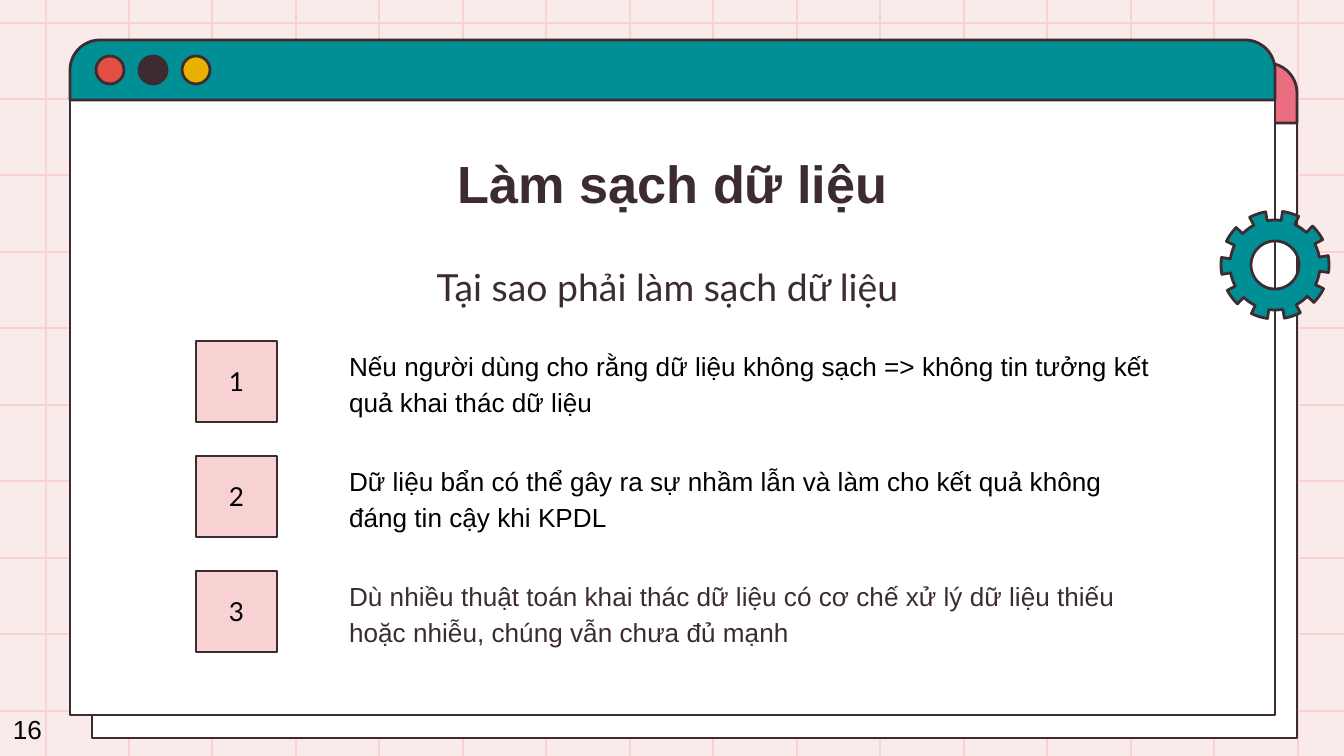
from math import cos, radians, sin

from lxml.etree import SubElement
from pptx import Presentation
from pptx.dml.color import RGBColor
from pptx.enum.shapes import MSO_CONNECTOR, MSO_SHAPE
from pptx.enum.text import MSO_ANCHOR, MSO_AUTO_SIZE, PP_ALIGN
from pptx.oxml.ns import qn
from pptx.util import Pt

WIDTH, HEIGHT = 1344, 756
EMU_PER_PX = 9144000 / WIDTH
COLORS = {
    "paper": "FAEBEB", "pink": "F8D2D2", "ink": "3C2C31", "black": "000000",
    "white": "FFFFFF", "teal": "008F95", "rose": "EB6E80", "red": "E24E42",
    "yellow": "E9B000",
}
REASONS = [
    ("Nếu người dùng cho rằng dữ liệu không sạch => không tin tưởng kết quả khai thác dữ liệu",
     849, "black"),
    ("Dữ liệu bẩn có thể gây ra sự nhầm lẫn và làm cho kết quả không đáng tin cậy khi KPDL",
     828, "black"),
    ("Dù nhiều thuật toán khai thác dữ liệu có cơ chế xử lý dữ liệu thiếu hoặc nhiễu, "
     "chúng vẫn chưa đủ mạnh", 828, "ink"),
]


def px(length):
    return round(length * EMU_PER_PX)


def color(name):
    return RGBColor.from_string(COLORS[name])


def paint(shape, fill):
    """Flat fill with the dark outline shared by all shapes."""
    shape.shadow.inherit = False
    shape.fill.solid()
    shape.fill.fore_color.rgb = color(fill)
    shape.line.color.rgb = color("ink")
    shape.line.width = Pt(1.5)


def add_outlined(slide, preset, box, fill):
    shape = slide.shapes.add_shape(preset, *map(px, box))
    paint(shape, fill)
    return shape


def add_grid_line(slide, start, end):
    line = slide.shapes.add_connector(MSO_CONNECTOR.STRAIGHT, *map(px, start + end))
    line.line.color.rgb = color("pink")
    line.line.width = Pt(1.5)
    SubElement(line._element.spPr, qn("a:effectLst"))


def add_grid(slide):
    for column in range(16):
        x = 46 + 1252 * column // 15
        add_grid_line(slide, (x, HEIGHT), (x, 0))
    for row in range(10):
        y = 23 + 688 * row // 9
        add_grid_line(slide, (0, y), (WIDTH, y))


def add_window(slide, left, top, bar_fill):
    width, bar_height = 1205, 60
    add_outlined(slide, MSO_SHAPE.RECTANGLE, (left, top + bar_height, width, 615), "white")
    bar = add_outlined(slide, MSO_SHAPE.ROUND_2_SAME_RECTANGLE,
                       (left, top, width, bar_height), bar_fill)
    bar.adjustments[0] = 0.5


def add_window_buttons(slide):
    for index, fill in enumerate(["red", "ink", "yellow"]):
        add_outlined(slide, MSO_SHAPE.OVAL, (96 + 43 * index, 56, 28, 28), fill)


def arc(center, radius, start, end):
    """Points in EMU along an arc, one every 3 degrees."""
    step = 3 if end > start else -3
    return [(px(center[0] + radius * cos(radians(angle))),
             px(center[1] + radius * sin(radians(angle))))
            for angle in range(start, end + step, step)]


def add_gear(slide, center):
    rim = []
    for tooth in range(10):
        middle = 36 * tooth - 1
        rim += arc(center, 54, middle - 9, middle + 9)
        rim += arc(center, 45, middle + 9, middle + 27)
    hole = arc(center, 24, 360, 0)
    builder = slide.shapes.build_freeform(*rim[0], scale=1.0)
    builder.add_line_segments(rim[1:], close=True)
    builder.move_to(*hole[0])
    builder.add_line_segments(hole[1:], close=True)
    paint(builder.convert_to_shape(), "teal")


def write(shape, text, size, font, ink, align=PP_ALIGN.LEFT, anchor=MSO_ANCHOR.TOP,
          bold=False, inset=13, wrap=True):
    frame = shape.text_frame
    frame.auto_size = MSO_AUTO_SIZE.NONE
    frame.word_wrap = wrap
    frame.vertical_anchor = anchor
    frame.margin_left = frame.margin_right = px(13)
    frame.margin_top = frame.margin_bottom = px(inset)
    paragraph = frame.paragraphs[0]
    paragraph.alignment = align
    run = paragraph.add_run()
    run.text = text
    run.font.size = Pt(size)
    run.font.name = font
    run.font.bold = bold
    run.font.color.rgb = color(ink)
    return paragraph


def place(slide, placeholder, box):
    """Position a placeholder and bring it in front of what is drawn so far."""
    placeholder.left, placeholder.top, placeholder.width, placeholder.height = map(px, box)
    slide.shapes._spTree.append(placeholder._element)


def add_title(slide, text):
    title = slide.shapes.title
    place(slide, title, (132, 138, 1081, 85))
    write(title, text, 28, "Arial", "ink", PP_ALIGN.CENTER, bold=True)


def add_question(slide, text):
    question = slide.shapes.add_textbox(*map(px, (132, 251, 1081, 54)))
    write(question, text, 20, "Lato", "ink", PP_ALIGN.CENTER)


def add_reason(slide, body, number, reason):
    text, width, ink = reason
    top = 341 + 115 * (number - 1)
    place(slide, body, (336, top, width, 81))
    paragraph = write(body, text, 14, "Arial", ink, anchor=MSO_ANCHOR.MIDDLE)
    properties = paragraph._p.get_or_add_pPr()
    properties.set("marL", "0")
    properties.set("indent", "0")
    SubElement(properties, qn("a:buNone"))
    paragraph.line_spacing = 1.15
    paragraph.space_before = Pt(0)

    badge = add_outlined(slide, MSO_SHAPE.RECTANGLE, (196, top, 81, 81), "pink")
    write(badge, str(number), 14, "Lato", "black", PP_ALIGN.CENTER, MSO_ANCHOR.MIDDLE)


def add_page_number(slide, text):
    page_number = slide.shapes.add_textbox(*map(px, (0, 706, 56, 46)))
    write(page_number, text, 14, "Arial", "black", inset=7, wrap=False)


def main():
    deck = Presentation()
    deck.slide_width, deck.slide_height = px(WIDTH), px(HEIGHT)
    slide = deck.slides.add_slide(deck.slide_layouts.get_by_name("Comparison"))
    slide.background.fill.solid()
    slide.background.fill.fore_color.rgb = color("paper")
    _, *bodies, spare = slide.placeholders
    spare._element.getparent().remove(spare._element)

    add_grid(slide)
    add_window(slide, 92, 63, "rose")
    add_window(slide, 70, 40, "teal")
    add_window_buttons(slide)
    add_title(slide, "Làm sạch dữ liệu")
    for number, (body, reason) in enumerate(zip(bodies, REASONS), start=1):
        add_reason(slide, body, number, reason)
    add_question(slide, "Tại sao phải làm sạch dữ liệu ")
    add_gear(slide, (1275, 265))
    add_page_number(slide, "16")
    deck.save("out.pptx")


if __name__ == "__main__":
    main()
